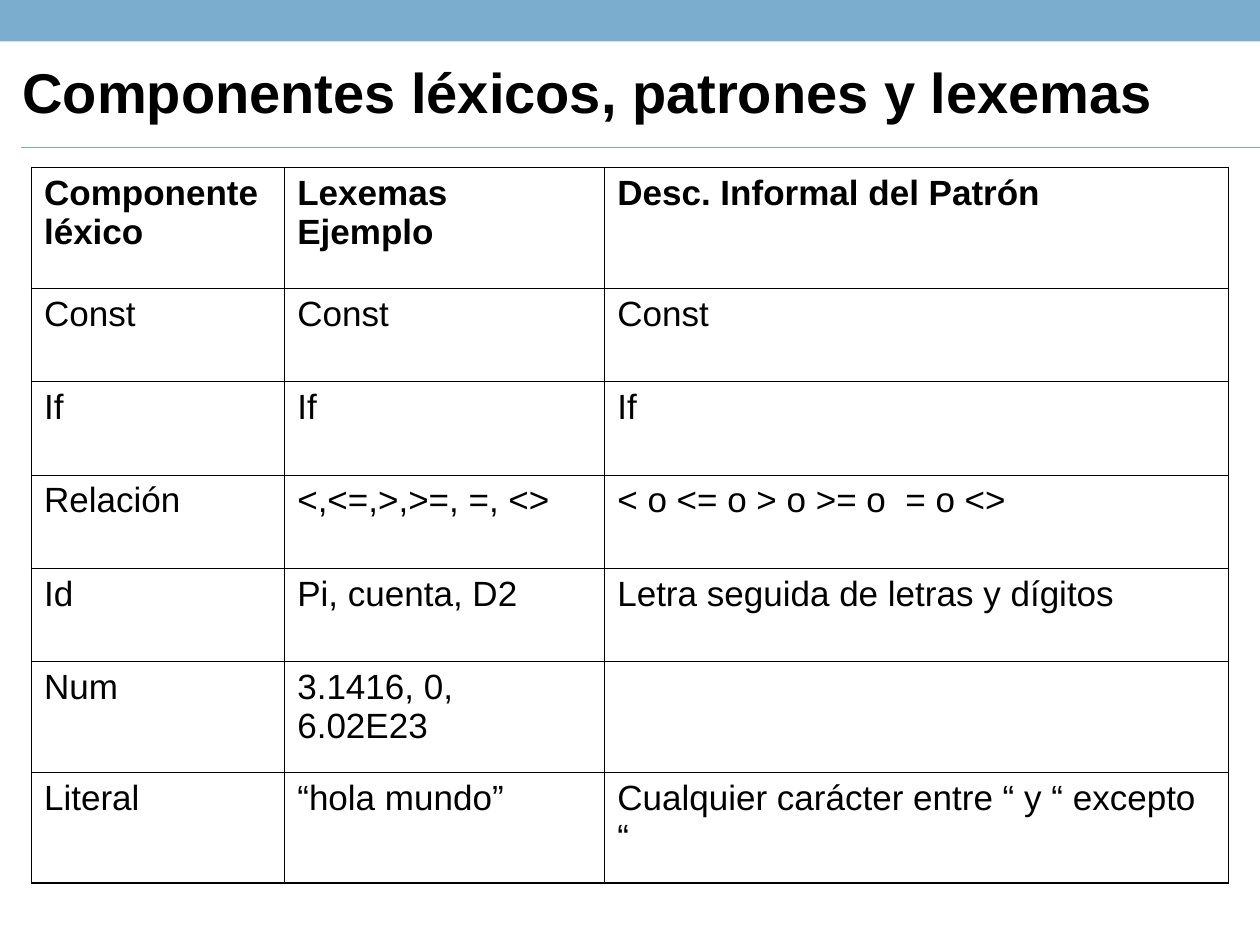
from lxml import etree
from pptx import Presentation
from pptx import util as u
from pptx.dml import color
from pptx.enum import shapes, text
from pptx.oxml import ns

WIDTH, HEIGHT = 10, 7.5
FONT = "Arial"
BLACK, WHITE, BLUE = "000000", "FFFFFF", "7BAECE"
OUTER, INNER = 1.08, 0.45  # table border widths in points

COLUMNS = [2.01, 2.54, 4.95]
ROWS = [0.96] + [0.74] * 4 + [0.88] * 2
LEXICON = [
    ("Componente léxico", "Lexemas Ejemplo", "Desc. Informal del Patrón"),
    ("Const", "Const", "Const"),
    ("If", "If", "If"),
    ("Relación", "<,<=,>,>=, =, <>", "< o <= o > o >= o  = o <>"),
    ("Id", "Pi, cuenta, D2", "Letra seguida de letras y dígitos"),
    ("Num", "3.1416, 0, 6.02E23", ""),
    ("Literal", "“hola mundo”", "Cualquier carácter entre “ y “ excepto “"),
]


def rgb(value):
    return color.RGBColor.from_string(value)


def inches(*lengths):
    return [u.Inches(length) for length in lengths]


def style(paragraph, size, bold):
    font = paragraph.font
    font.name, font.size, font.bold = FONT, u.Pt(size), bold
    font.color.rgb = rgb(BLACK)


def add_band(slide, box):
    band = slide.shapes.add_shape(shapes.MSO_SHAPE.RECTANGLE, *inches(*box))
    band.shadow.inherit = False
    band.fill.solid()
    band.fill.fore_color.rgb = rgb(BLUE)
    band.line.fill.background()


def add_heading(slide, box, wording):
    """Title text with a rule along the bottom of its box."""
    left, top, width, height = box
    title = slide.shapes.add_textbox(*inches(*box)).text_frame
    title.word_wrap = True
    title.vertical_anchor = text.MSO_ANCHOR.MIDDLE
    title.text = wording
    title.paragraphs[0].line_spacing = 0.9
    style(title.paragraphs[0], 32, True)

    bottom = top + height
    rule = slide.shapes.add_connector(
        shapes.MSO_CONNECTOR.STRAIGHT,
        *inches(left + 0.09, bottom, left + width, bottom))
    rule.line.color.rgb = rgb(BLUE)
    rule.line.width = u.Pt(1)
    etree.SubElement(rule._element.spPr, ns.qn("a:effectLst"))


def set_borders(cell, widths):
    properties = cell._tc.get_or_add_tcPr()
    for side, width in widths.items():
        border = etree.SubElement(properties, ns.qn(f"a:ln{side}"), w=str(u.Pt(width)))
        fill = etree.SubElement(border, ns.qn("a:solidFill"))
        etree.SubElement(fill, ns.qn("a:srgbClr"), val=BLACK)


def add_lexicon(slide, box):
    last_row, last_column = len(ROWS) - 1, len(COLUMNS) - 1
    table = slide.shapes.add_table(len(ROWS), len(COLUMNS), *inches(*box)).table
    table.first_row = table.horz_banding = False
    for column, width in zip(table.columns, COLUMNS):
        column.width = u.Inches(width)
    for row, height in zip(table.rows, ROWS):
        row.height = u.Inches(height)

    for r, entries in enumerate(LEXICON):
        for c, entry in enumerate(entries):
            cell = table.cell(r, c)
            cell.text = entry
            style(cell.text_frame.paragraphs[0], 20, r == 0)
            # Thick lines only on the outside of the table
            edges = {"L": c == 0, "R": c == last_column,
                     "T": r == 0, "B": r == last_row}
            set_borders(cell, {side: OUTER if outside else INNER
                               for side, outside in edges.items()})
            cell.fill.solid()
            cell.fill.fore_color.rgb = rgb(WHITE)


def main():
    deck = Presentation()
    deck.slide_width, deck.slide_height = inches(WIDTH, HEIGHT)
    slide = deck.slides.add_slide(deck.slide_layouts[6])
    add_band(slide, (0, 0, WIDTH, 0.33))
    add_heading(slide, (0.08, 0.35, WIDTH - 0.08, 0.82),
                "Componentes léxicos, patrones y lexemas")
    add_lexicon(slide, (0.25, 1.33, sum(COLUMNS), sum(ROWS)))
    deck.save("out.pptx")


if __name__ == "__main__":
    main()
